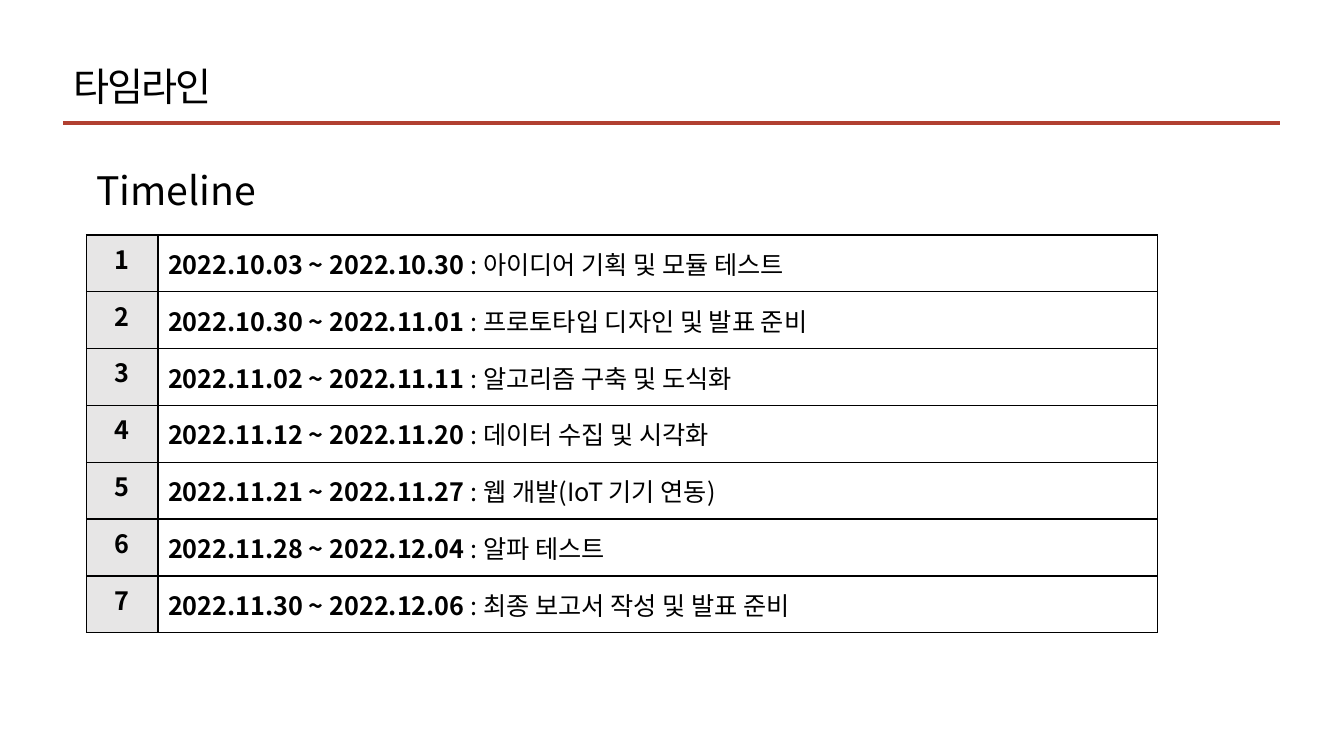
from lxml.etree import SubElement
from pptx import Presentation
from pptx.dml.color import RGBColor
from pptx.enum.shapes import MSO_CONNECTOR as Connector
from pptx.enum.text import MSO_ANCHOR as Anchor, MSO_AUTO_SIZE as AutoSize, PP_ALIGN as Align
from pptx.oxml import parse_xml
from pptx.oxml.ns import nsdecls, qn
from pptx.util import Cm, Pt

FONT = "Noto Sans CJK KR"
BLACK = RGBColor(0x00, 0x00, 0x00)
WHITE = RGBColor(0xFF, 0xFF, 0xFF)
GREY = RGBColor(0xE7, 0xE6, 0xE6)
RED = RGBColor(0xB1, 0x40, 0x31)

HEADING = {"size": Pt(28), "bold": False}
PERIOD = {"size": Pt(18), "bold": True}
TASK = {"size": Pt(18), "bold": False}

SCHEDULE = [
    ("2022.10.03 ~ 2022.10.30", "아이디어 기획 및 모듈 테스트"),
    ("2022.10.30 ~ 2022.11.01", "프로토타입 디자인 및 발표 준비"),
    ("2022.11.02 ~ 2022.11.11", "알고리즘 구축 및 도식화"),
    ("2022.11.12 ~ 2022.11.20", "데이터 수집 및 시각화"),
    ("2022.11.21 ~ 2022.11.27", "웹 개발(IoT 기기 연동)"),
    ("2022.11.28 ~ 2022.12.04", "알파 테스트"),
    ("2022.11.30 ~ 2022.12.06", "최종 보고서 작성 및 발표 준비"),
]


class TimelineSlide:
    """Holds the text style and the current slide."""

    def __init__(self, deck):
        self.slide = deck.slides.add_slide(deck.slide_layouts[5])
        self.style = {"name": FONT}

    def add_text(self, paragraph, text, look):
        run = paragraph.add_run()
        run.text = text
        for key, value in {**self.style, **look}.items():
            setattr(run.font, key, value)
        run.font.color.rgb = BLACK
        SubElement(run.font._element, qn("a:ea"), typeface=FONT)
        return run

    def heading(self, box, text, left, top, width, height):
        place = {"left": left, "top": top, "width": width, "height": height}
        for key, value in place.items():
            setattr(box, key, value)
        frame = box.text_frame
        layout = {"word_wrap": True, "vertical_anchor": Anchor.TOP,
                  "auto_size": AutoSize.SHAPE_TO_FIT_TEXT}
        for key, value in layout.items():
            setattr(frame, key, value)
        frame.paragraphs[0].alignment = Align.LEFT
        return self.add_text(frame.paragraphs[0], text, HEADING)

    def title(self, text, *place):
        run = self.heading(self.slide.shapes.title, text, *place)
        run.font._element.set("spc", "-150")

    def subtitle(self, text, *place):
        self.heading(self.slide.shapes.add_textbox(*place), text, *place)

    def rule(self, left, right, y):
        line = self.slide.shapes.add_connector(Connector.STRAIGHT, left, y, right, y)
        line.line.color.rgb = RED
        line.line.width = Pt(3)
        SubElement(line._element.spPr, qn("a:effectLst"))

    def cell(self, cell, fill, anchor, align, parts):
        cell.fill.solid()
        cell.fill.fore_color.rgb = fill
        cell.vertical_anchor = anchor
        paragraph = cell.text_frame.paragraphs[0]
        paragraph.alignment = align
        for text, look in parts:
            self.add_text(paragraph, text, look)
        # Border lines come before the fill in the cell properties
        for index, side in enumerate("LRTB"):
            cell._tc.tcPr.insert(index, parse_xml(
                f'<a:ln{side} {nsdecls("a")} w="{Pt(1)}"><a:solidFill>'
                f'<a:srgbClr val="{BLACK}"/></a:solidFill></a:ln{side}>'))

    def schedule(self, entries, left, top, widths, height):
        table = self.slide.shapes.add_table(
            len(entries), len(widths), left, top, sum(widths), height).table
        for column, width in zip(table.columns, widths):
            column.width = width
        for number, (period, task) in enumerate(entries, 1):
            number_cell, task_cell = table.rows[number - 1].cells
            self.cell(number_cell, GREY, Anchor.TOP, Align.CENTER,
                      [(str(number), PERIOD)])
            self.cell(task_cell, WHITE, Anchor.MIDDLE, Align.LEFT,
                      [(f"{period} ", PERIOD), (f": {task}", TASK)])


def main():
    deck = Presentation()
    deck.slide_width, deck.slide_height = Cm(33.87), Cm(19.05)
    page = TimelineSlide(deck)

    # Title and rule
    page.title("타임라인", Cm(1.6), Cm(1.45), Cm(24.87), Cm(1.45))
    page.rule(Cm(1.6), Cm(32.26), Cm(3.1))

    # Schedule
    page.schedule(SCHEDULE, Cm(2.18), Cm(5.92), [Cm(1.8), Cm(25.2)], Cm(10.03))
    page.subtitle("Timeline", Cm(2.18), Cm(4.06), Cm(6.38), Cm(1.45))

    deck.save("out.pptx")


if __name__ == "__main__":
    main()
